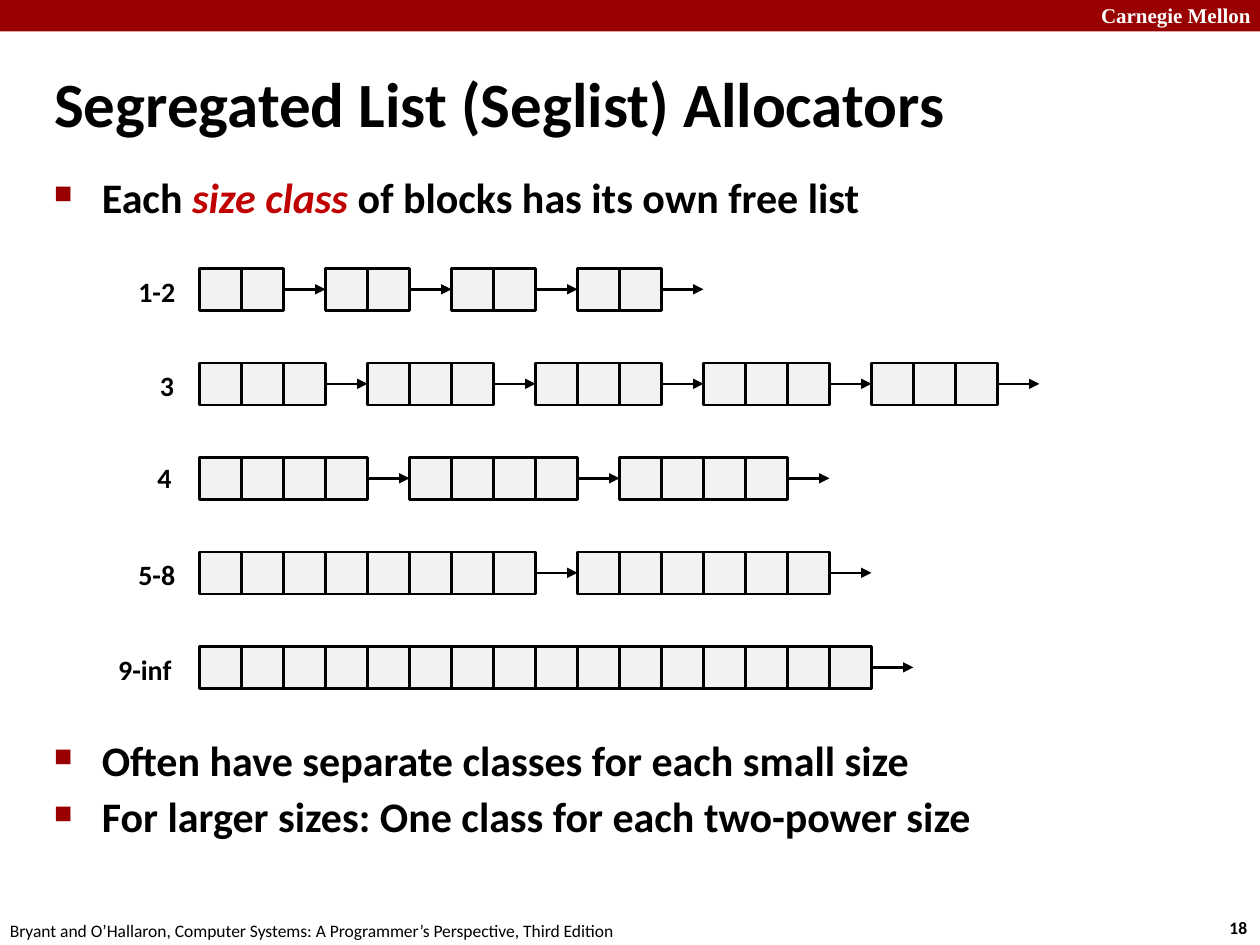
from dataclasses import dataclass

from lxml.etree import SubElement
from pptx import Presentation
from pptx.dml.color import RGBColor
from pptx.enum.shapes import MSO_CONNECTOR as Connector, MSO_SHAPE as Shape
from pptx.enum.text import MSO_ANCHOR as Anchor, MSO_AUTO_SIZE as AutoSize, PP_ALIGN as Align
from pptx.oxml.ns import qn
from pptx.util import Inches, Pt


@dataclass(frozen=True)
class Theme:
    font: str = "Calibri"
    brand_font: str = "Times New Roman"
    black: str = "000000"
    white: str = "FFFFFF"
    banner: str = "990000"
    accent: str = "C00000"
    block: str = "F2F2F2"
    title_size: int = 36
    body_size: int = 24
    label_size: int = 16
    brand_size: int = 12
    footer_size: int = 10
    line_width: float = 1.5


THEME = Theme()
WIDTH, HEIGHT = 10, 7.5
CELL = WIDTH / 30
GRID_LEFT = 4.75 * CELL
GRID_TOP = 2.13
ROW_STEP = HEIGHT / 10

SIZE_CLASSES = [
    ("1-2", [2, 2, 2, 2], 1, 0.5, 0),
    ("3", [3, 3, 3, 3, 3], 1.17, 0.32, 0),
    ("4", [4, 4, 4], 1.15, 0.32, -0.02),
    ("5-8", [8, 6], 1, 0.5, 0),
    ("9-inf", [16], 0.84, 0.63, 0),
]
OPENING = [[("Each ", {}), ("size class ", {"color": THEME.accent, "italic": True}),
            ("of blocks has its own free list", {})]]
CLOSING = [[("Often have separate classes for each small size", {})],
           [("For larger sizes: One class for each two-power size", {})]]


def rgb(color):
    return RGBColor.from_string(color)


def add_span(para, text, size, color=THEME.black, font=THEME.font, bold=True, italic=False):
    span = para.add_run()
    span.text = text
    span.font.size = Pt(size)
    span.font.name = font
    span.font.bold = bold
    span.font.italic = italic
    span.font.color.rgb = rgb(color)


def add_box(page, left, top, width, height, wrap=True):
    box = page.shapes.add_textbox(*map(Inches, (left, top, width, height)))
    box.text_frame.word_wrap = wrap
    return box.text_frame


def add_label(page, text, left, top, width, height, wrap=False, **style):
    frame = add_box(page, left, top, width, height, wrap)
    frame.auto_size = AutoSize.SHAPE_TO_FIT_TEXT
    add_span(frame.paragraphs[0], text, **style)


def add_rect(page, left, top, width, height, fill, line=None):
    rect = page.shapes.add_shape(Shape.RECTANGLE, *map(Inches, (left, top, width, height)))
    rect.shadow.inherit = False
    rect.fill.solid()
    rect.fill.fore_color.rgb = rgb(fill)
    if line:
        rect.line.color.rgb = rgb(line)
        rect.line.width = Pt(THEME.line_width)
    else:
        rect.line.fill.background()


def add_arrow(page, left, middle, length):
    arrow = page.shapes.add_connector(
        Connector.STRAIGHT, *map(Inches, (left, middle, left + length, middle)))
    arrow.line.color.rgb = rgb(THEME.black)
    arrow.line.width = Pt(THEME.line_width)
    SubElement(arrow.line._get_or_add_ln(), qn("a:tailEnd"), type="triangle")
    SubElement(arrow._element.spPr, qn("a:effectLst"))


def add_bullet(para, indent=0.38):
    props = para._p.get_or_add_pPr()
    props.set("marL", str(Inches(indent)))
    props.set("indent", str(-Inches(indent)))
    color = SubElement(props, qn("a:buClr"))
    SubElement(color, qn("a:srgbClr"), val=THEME.banner)
    SubElement(props, qn("a:buSzPct"), val="60000")
    SubElement(props, qn("a:buChar"), char="■")


def add_bullets(page, items, top, height):
    frame = add_box(page, 0.33, top, 9.09, height)
    for index, spans in enumerate(items):
        para = frame.add_paragraph() if index else frame.paragraphs[0]
        add_bullet(para)
        para.line_spacing = 0.95
        para.space_before = Pt(THEME.body_size * 0.2 if index else 0)
        for text, style in spans:
            add_span(para, text, THEME.body_size, **style)


def set_title(page, text):
    title = page.shapes.title
    title.left, title.top, title.width, title.height = map(Inches, (0.33, 0.54, 9, 0.63))
    frame = title.text_frame
    frame.auto_size = AutoSize.NONE
    frame.vertical_anchor = Anchor.MIDDLE
    para = frame.paragraphs[0]
    para.alignment = Align.LEFT
    para.line_spacing = 0.87
    add_span(para, text, THEME.title_size)


def add_free_list(page, blocks, top):
    left = GRID_LEFT
    for cells in blocks:
        for _ in range(cells):
            add_rect(page, left, top, CELL, CELL, THEME.block, THEME.black)
            left += CELL
        add_arrow(page, left, top + CELL / 2, CELL)
        left += CELL


def add_frame(page):
    add_rect(page, 0, 0, WIDTH, HEIGHT / 30, THEME.banner)
    add_label(page, "Carnegie Mellon", 8.64, -0.03, 1.43, 0.3, wrap=True,
              size=THEME.brand_size, color=THEME.white, font=THEME.brand_font)
    add_label(page, "18", 9.66, 7.23, 0.37, 0.27, size=THEME.footer_size)
    add_label(page, "Bryant and O’Hallaron, Computer Systems: A Programmer’s Perspective, Third Edition",
              -0.02, 7.25, 5.08, 0.27, size=THEME.footer_size, bold=False)


def main():
    deck = Presentation()
    deck.slide_width, deck.slide_height = Inches(WIDTH), Inches(HEIGHT)
    page = deck.slides.add_slide(deck.slide_layouts.get_by_name("Title Only"))
    add_frame(page)
    set_title(page, "Segregated List (Seglist) Allocators")
    add_bullets(page, OPENING, 1.34, 0.5)
    for row, (name, blocks, left, width, shift) in enumerate(SIZE_CLASSES):
        top = GRID_TOP + row * ROW_STEP
        add_label(page, name, left, top + shift, width, 0.37, size=THEME.label_size)
        add_free_list(page, blocks, top)
    add_bullets(page, CLOSING, 5.81, 1)
    deck.save("out.pptx")


if __name__ == "__main__":
    main()
